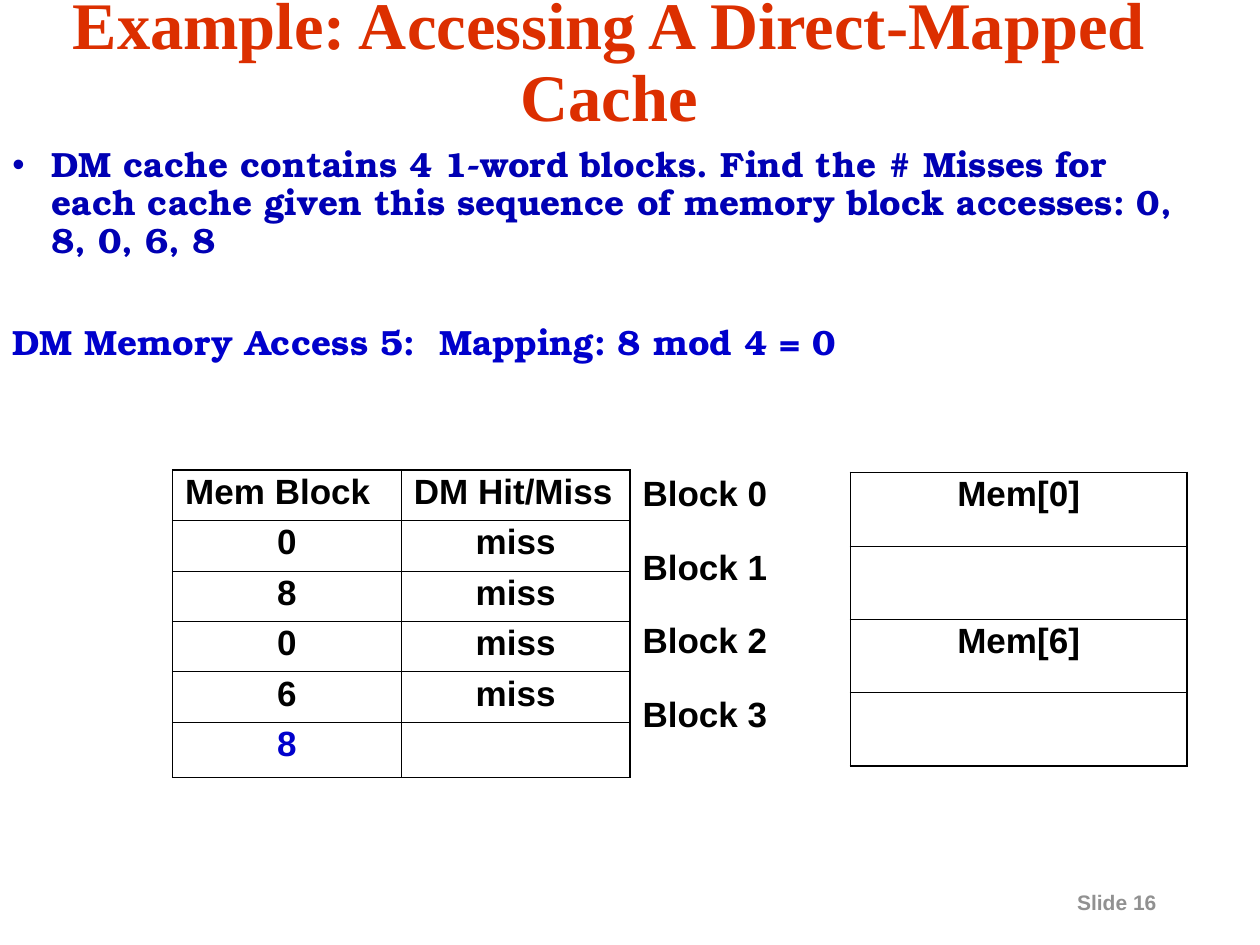
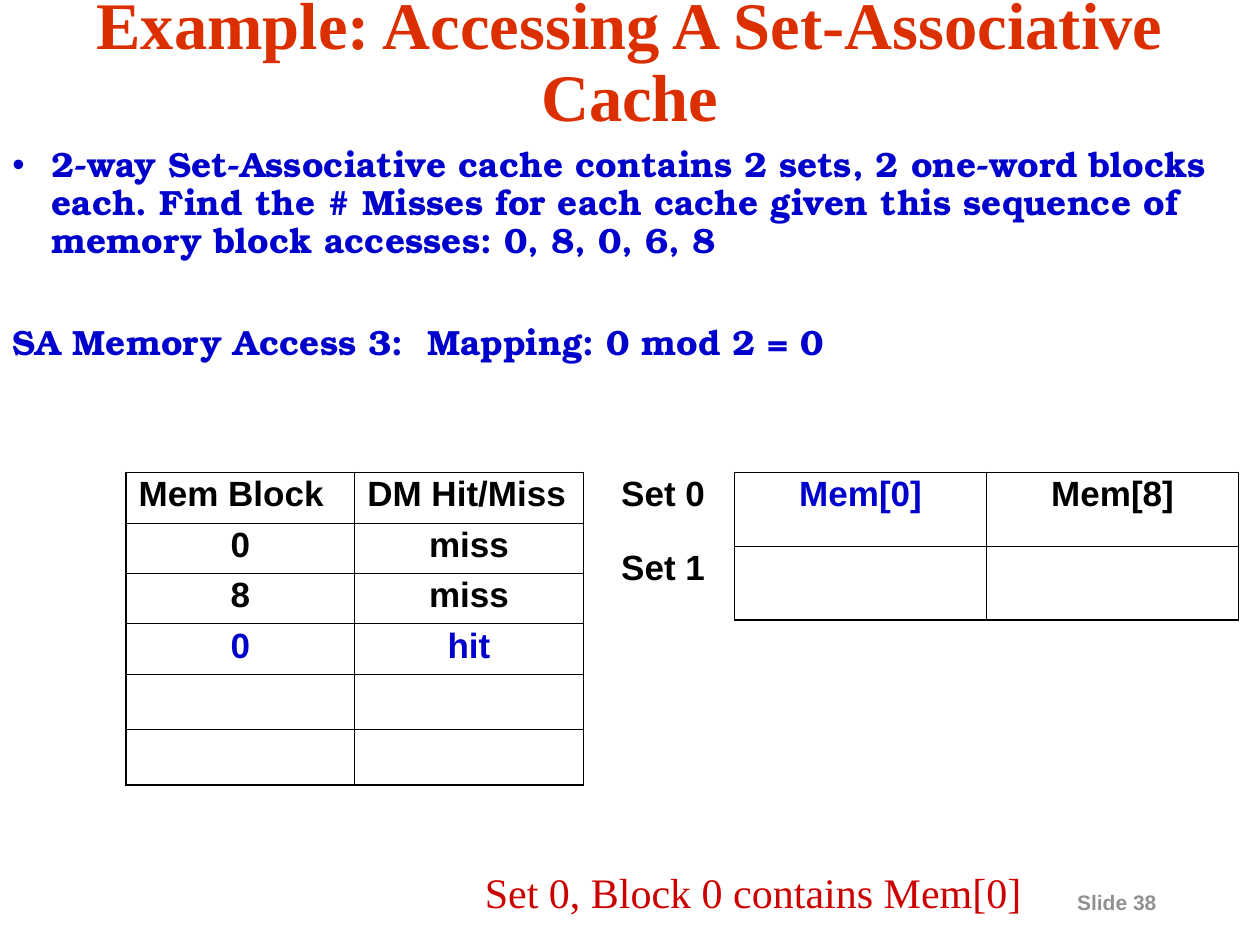
from dataclasses import dataclass

from lxml import etree
from pptx import Presentation, dml, util as u
from pptx.dml import color
from pptx.enum import text
from pptx.oxml import ns


@dataclass(frozen=True)
class Theme:
    title_color: str = "DC2F00"
    body_color: str = "0000CC"
    ink: str = "000000"
    active: str = "0000CC"
    note_color: str = "CC0000"
    footer_color: str = "919191"
    title_font: str = "Times New Roman"
    body_font: str = "TeX Gyre Bonum"
    table_font: str = "Arial"
    title_size: float = 38
    body_size: float = 20
    note_size: float = 24
    footer_size: float = 12
    spacing: float = 0.9
    thick: float = 1.08
    thin: float = 0.45


T = Theme()
LEFT, CENTER = text.PP_ALIGN.LEFT, text.PP_ALIGN.CENTER
HEADER = ("Mem Block", "DM Hit/Miss")

# Content: "active" holds the (row, column) cells of the current access
SLIDES = [
    dict(
        title="Example: Accessing A Direct-Mapped Cache",
        title_width=9.67, body_width=9.58, task_color="0000B4",
        task="DM cache contains 4 1-word blocks. Find the # Misses for each cache "
             "given this sequence of memory block accesses: 0, 8, 0, 6, 8",
        step="DM Memory Access 5:  Mapping: 8 mod 4 = 0",
        cache=dict(at=(5, 3.75), cols=(1.75, 2.67), heights=[2.33 / 4] * 4, active=(),
                   rows=[("Block 0", "Mem[0]"), ("Block 1", ""),
                         ("Block 2", "Mem[6]"), ("Block 3", "")]),
        accesses=dict(at=(1.37, 3.73), heights=[0.4] * 5 + [0.44], active=[(5, 0)],
                      rows=[HEADER, ("0", "miss"), ("8", "miss"), ("0", "miss"),
                            ("6", "miss"), ("8", "")]),
        note=None, footer="Slide 16",
    ),
    dict(
        title="Example: Accessing A Set-Associative Cache",
        title_width=10, body_width=10, task_color=T.body_color,
        task="2-way Set-Associative cache contains 2 sets, 2 one-word blocks each. "
             "Find the # Misses for each cache given this sequence of memory block "
             "accesses: 0, 8, 0, 6, 8",
        step="SA Memory Access 3:  Mapping: 0 mod 2 = 0",
        cache=dict(at=(4.83, 3.75), cols=(1, 2, 2), heights=[1.17 / 2] * 2,
                   active=[(0, 1)],
                   rows=[("Set 0", "Mem[0]", "Mem[8]"), ("Set 1", "", "")]),
        accesses=dict(at=(1, 3.75), heights=[0.4] * 4 + [0.44] * 2,
                      active=[(3, 0), (3, 1)],
                      rows=[HEADER, ("0", "miss"), ("8", "miss"), ("0", "hit"),
                            ("", ""), ("", "")]),
        note="Set 0, Block 0 contains Mem[0]", footer="Slide 38",
    ),
]


# Text helpers
def style(font, name, size, rgb, bold=True):
    font.name, font.size, font.bold = name, u.Pt(size), bold
    font.color.rgb = color.RGBColor.from_string(rgb)


def add_run(p, words, *look):
    r = p.add_run()
    r.text = words
    style(r.font, *look)


def add_box(s, x, y, w, h):
    tf = s.shapes.add_textbox(*map(u.Inches, (x, y, w, h))).text_frame
    tf.word_wrap = True
    return tf


def add_bullet(p, rgb, indent=0.31):
    pPr = p._p.get_or_add_pPr()
    pPr.set("marL", str(u.Inches(indent)))
    pPr.set("indent", str(u.Inches(-indent)))
    bu_clr = etree.SubElement(pPr, ns.qn("a:buClr"))
    etree.SubElement(bu_clr, ns.qn("a:srgbClr"), val=rgb)
    etree.SubElement(pPr, ns.qn("a:buFont"), typeface="Arial")
    etree.SubElement(pPr, ns.qn("a:buChar"), char="•")


# Table helpers
def set_borders(cell, widths):
    """Widths in points for left, right, top, bottom; 0 draws none."""
    tcPr = cell._tc.get_or_add_tcPr()
    for i, (side, width) in enumerate(zip("LRTB", widths)):
        ln = etree.Element(ns.qn(f"a:ln{side}"), w=str(u.Pt(width)))
        if width:
            fill = etree.SubElement(ln, ns.qn("a:solidFill"))
            etree.SubElement(fill, ns.qn("a:srgbClr"), val=T.ink)
        else:
            etree.SubElement(ln, ns.qn("a:noFill"))
        tcPr.insert(i, ln)


def add_grid(s, at, cols, heights, rows, active, is_left, widths_for):
    size = (sum(cols), sum(heights))
    frame = s.shapes.add_table(len(rows), len(cols), *map(u.Inches, at + size))
    table = frame.table
    table.first_row = table.horz_banding = False
    for col, width in zip(table.columns, cols):
        col.width = u.Inches(width)
    for i, (row, height) in enumerate(zip(rows, heights)):
        table.rows[i].height = u.Inches(height)
        for j, words in enumerate(row):
            cell = table.cell(i, j)
            cell.fill.background()
            set_borders(cell, widths_for(i, j))
            p = cell.text_frame.paragraphs[0]
            p.line_spacing = T.spacing
            p.alignment = LEFT if is_left(i, j) else CENTER
            if words:
                rgb = T.active if (i, j) in active else T.ink
                add_run(p, words, T.table_font, T.body_size, rgb)


def edge(outer):
    return T.thick if outer else T.thin


def add_cache(s, at, cols, heights, rows, active):
    """Unboxed labels in the first column, boxed blocks to the right."""
    def widths_for(i, j):
        if j == 0:
            return 0, T.thick, 0, 0
        return T.thick, T.thick, edge(i == 0), edge(i == len(rows) - 1)

    add_grid(s, at, cols, heights, rows, active, lambda i, j: j == 0, widths_for)


def add_accesses(s, at, heights, rows, active):
    """Sequence of accesses under a header row."""
    def widths_for(i, j):
        return edge(j == 0), edge(j == 1), edge(i == 0), edge(i == len(rows) - 1)

    add_grid(s, at, [3.63 / 2] * 2, heights, rows, active,
             lambda i, j: i == 0, widths_for)


def add_slide(prs, c):
    s = prs.slides.add_slide(prs.slide_layouts[6])

    # Footer
    p = add_box(s, 8.45, 7.01, 1.45, 0.3).paragraphs[0]
    add_run(p, c["footer"], T.table_font, T.footer_size, T.footer_color)

    # Title
    tf = add_box(s, 0, 0.17, c["title_width"], 0.67)
    tf.vertical_anchor = text.MSO_ANCHOR.MIDDLE
    p = tf.paragraphs[0]
    p.alignment, p.line_spacing = CENTER, T.spacing
    add_run(p, c["title"], T.title_font, T.title_size, T.title_color)

    # Task and current step
    tf = add_box(s, 0, 1, c["body_width"], 2.75)
    tf.margin_top = u.Inches(0.17)
    task, step = tf.paragraphs[0], tf.add_paragraph()
    add_bullet(task, c["task_color"])
    task.line_spacing = step.line_spacing = T.spacing
    step.space_before = u.Pt(36.7)
    add_run(task, c["task"], T.body_font, T.body_size, c["task_color"])
    add_run(step, c["step"], T.body_font, T.body_size, T.body_color)

    # Tables
    add_cache(s, **c["cache"])
    add_accesses(s, **c["accesses"])

    # Closing note
    if c["note"]:
        p = add_box(s, 3.75, 6.83, 5.83, 0.5).paragraphs[0]
        add_run(p, c["note"], T.title_font, T.note_size, T.note_color, False)


def main():
    prs = Presentation()
    prs.slide_width, prs.slide_height = u.Inches(10), u.Inches(7.5)
    for content in SLIDES:
        add_slide(prs, content)
    prs.save("out.pptx")


if __name__ == "__main__":
    main()
